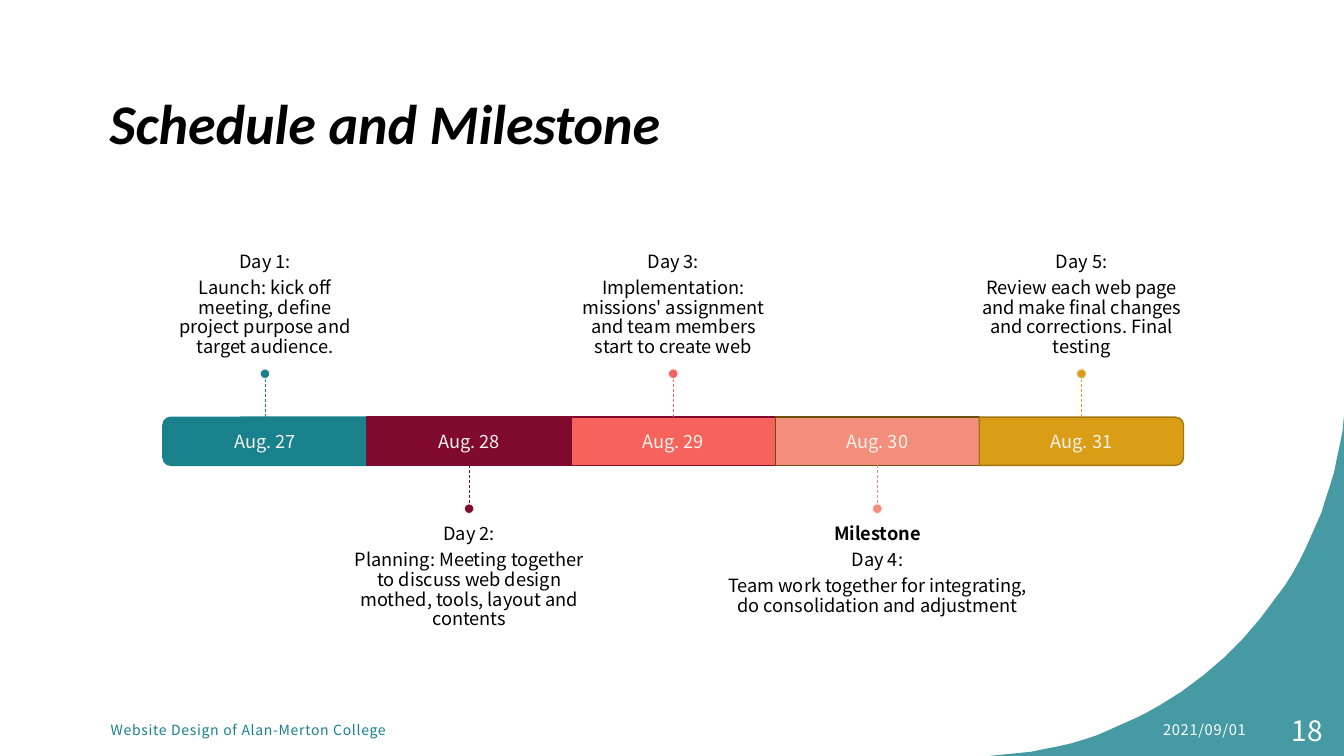
"""Builds a schedule slide with a five-day timeline and alternating day notes."""
import pptx
import pptx.dml.color
import pptx.enum.dml
import pptx.enum.shapes
import pptx.enum.text
import pptx.oxml
import pptx.oxml.ns
import pptx.util

Pt = pptx.util.Pt
RGBColor = pptx.dml.color.RGBColor
SHAPE = pptx.enum.shapes.MSO_SHAPE
ALIGN = pptx.enum.text.PP_ALIGN
ANCHOR = pptx.enum.text.MSO_ANCHOR

TEAL = RGBColor(0x18, 0x81, 0x8C)
WINE = RGBColor(0x80, 0x0A, 0x2F)
CORAL = RGBColor(0xF6, 0x63, 0x5C)
SALMON = RGBColor(0xF4, 0x8E, 0x7C)
GOLD = RGBColor(0xDA, 0x9D, 0x16)
BROWN = RGBColor(0x6D, 0x4E, 0x0B)
OCHRE = RGBColor(0xA3, 0x76, 0x10)
CREAM = RGBColor(0xF4, 0xF2, 0xEC)
BLACK = RGBColor(0, 0, 0)
WHITE = RGBColor(255, 255, 255)
BODY_FONT = "Noto Sans CJK SC"

TITLE = "Schedule and Milestone"
MILESTONE = "Milestone"
DAYS = [
    ("Aug. 27", TEAL, TEAL, 140, ["Day 1:", "Launch: kick off meeting, define project purpose and target audience."]),
    ("Aug. 28", WINE, WINE, 171, ["Day 2:", "Planning: Meeting together to discuss web design mothed, tools, layout and contents"]),
    ("Aug. 29", CORAL, WINE, 145, ["Day 3:", "Implementation: missions' assignment and team members start to create web"]),
    ("Aug. 30", SALMON, BROWN, 215, [MILESTONE, "Day 4:", "Team work together for integrating, do consolidation and adjustment"]),
    ("Aug. 31", GOLD, OCHRE, 159, ["Day 5:", "Review each web page and make final changes and corrections. Final testing"]),
]
FOOTERS = [
    ("Website Design of Alan-Merton College", 72, 297.5, 10, TEAL, ALIGN.LEFT, 50),
    ("2021/09/01", 734.5, 162.5, 10.5, WHITE, ALIGN.RIGHT, 50),
    ("18", 897, 55, 20, WHITE, ALIGN.RIGHT, 0),
]

SLIDE_W, SLIDE_H = 960, 540
BAR_LEFT, BAR_TOP, BAR_H, STEP = 116.4, 298, 34.4, 145.8
STEM, DOT, NOTE_H = 27.4, 7.2, 120
CURVE = [(696, 540), (833, 540), (946, 433.4), (SLIDE_W, 297.4)]
CURVE_STEPS = 40

deck = pptx.Presentation()
deck.slide_width, deck.slide_height = Pt(SLIDE_W), Pt(SLIDE_H)
slide = deck.slides.add_slide(deck.slide_layouts[6])
shapes = slide.shapes


def curve_point(t):
    weights = ((1 - t) ** 3, 3 * t * (1 - t) ** 2, 3 * t * t * (1 - t), t ** 3)
    return tuple(sum(w * point[axis] for w, point in zip(weights, CURVE)) for axis in (0, 1))


def add_text(lines, left, top, width, height, size, color, align, anchor,
             insets=(7.2, 3.6, 7.2, 3.6), font=BODY_FONT):
    frame = shapes.add_textbox(Pt(left), Pt(top), Pt(width), Pt(height)).text_frame
    frame.word_wrap = True
    frame.vertical_anchor = anchor
    frame.margin_left, frame.margin_top, frame.margin_right, frame.margin_bottom = map(Pt, insets)
    frame.text = "\n".join(lines)
    for paragraph in frame.paragraphs:
        paragraph.alignment = align
        paragraph.font.name = font
        paragraph.font.size = Pt(size)
        paragraph.font.color.rgb = color
    return frame


def add_filled(kind, left, top, width, height, fill, outline):
    shape = shapes.add_shape(kind, Pt(left), Pt(top), Pt(width), Pt(height))
    shape.shadow.inherit = False
    shape.fill.solid()
    shape.fill.fore_color.rgb = fill
    shape.line.color.rgb = outline
    shape.line.width = Pt(1)
    return shape


def add_bar(index, center, fill, outline):
    middle = BAR_TOP + BAR_H / 2
    if 0 < index < len(DAYS) - 1:
        return add_filled(SHAPE.RECTANGLE, center - STEP / 2, BAR_TOP, STEP, BAR_H, fill, outline)
    bar = add_filled(SHAPE.ROUND_2_SAME_RECTANGLE, center - BAR_H / 2, middle - STEP / 2,
                     BAR_H, STEP, fill, outline)
    bar.rotation = 90 if index else 270
    return bar


def add_day(index, date, fill, outline, note_width, lines):
    center = BAR_LEFT + STEP * (index + 0.5)
    above = index % 2 == 0
    bar = add_bar(index, center, fill, outline)
    add_text([date], center - STEP / 2, BAR_TOP, STEP, BAR_H, 13, CREAM,
             ALIGN.CENTER, ANCHOR.MIDDLE, (8, 8, 8, 8))

    stem_start = BAR_TOP if above else BAR_TOP + BAR_H
    stem_end = stem_start - STEM if above else stem_start + STEM
    dot_top = stem_end - DOT if above else stem_end
    note_top = dot_top - NOTE_H if above else dot_top + DOT
    note = add_text(lines, center - note_width / 2, note_top, note_width, NOTE_H, 13, BLACK,
                    ALIGN.CENTER, ANCHOR.BOTTOM if above else ANCHOR.TOP,
                    (0, 0, 0, 8) if above else (0, 8, 0, 0))
    for paragraph in note.paragraphs:
        paragraph.line_spacing = 0.9
        paragraph.space_after = Pt(4.5)
        paragraph.font.bold = paragraph.text == MILESTONE

    stem = shapes.add_connector(pptx.enum.shapes.MSO_CONNECTOR.STRAIGHT,
                                Pt(center), Pt(stem_start), Pt(center), Pt(stem_end))
    if bar.rotation == 0:
        stem.begin_connect(bar, 0 if above else 2)
    stem.line.color.rgb = fill
    stem.line.width = Pt(0.5)
    stem.line.dash_style = pptx.enum.dml.MSO_LINE.DASH
    pptx.oxml.ns.qn("a:effectLst")
    stem.element.spPr.append(pptx.oxml.parse_xml(
        "<a:effectLst %s/>" % pptx.oxml.ns.nsdecls("a")))
    add_filled(SHAPE.OVAL, center - DOT / 2, dot_top, DOT, DOT, fill, CREAM)


outline_points = [curve_point(i / CURVE_STEPS) for i in range(CURVE_STEPS + 1)]
builder = shapes.build_freeform(*outline_points[0], scale=Pt(1))
builder.add_line_segments(outline_points[1:] + [(SLIDE_W, SLIDE_H)], close=True)
corner = builder.convert_to_shape()
corner.shadow.inherit = False
corner.fill.solid()
corner.fill.fore_color.rgb = TEAL
corner.line.fill.background()
corner_color = corner.element.spPr.find(".//" + pptx.oxml.ns.qn("a:srgbClr"))
corner_color.append(pptx.oxml.parse_xml(
    '<a:alpha %s val="80000"/>' % pptx.oxml.ns.nsdecls("a")))

title = add_text([TITLE], 71.3, 35.3, 780.5, 104.4, 40, BLACK, ALIGN.LEFT, ANCHOR.MIDDLE, font="Calibri")
title.paragraphs[0].font.bold = True
title.paragraphs[0].font.italic = True

for day_index, day in enumerate(DAYS):
    add_day(day_index, *day)

for words, left, width, size, color, align, tracking in FOOTERS:
    footer = add_text([words], left, 507, width, 28.8, size, color, align, ANCHOR.MIDDLE)
    footer.paragraphs[0].runs[0].font.language_id = pptx.enum.lang.MSO_LANGUAGE_ID.ENGLISH_US
    footer.paragraphs[0].runs[0].font._element.set("spc", str(tracking))

deck.save("out.pptx")
